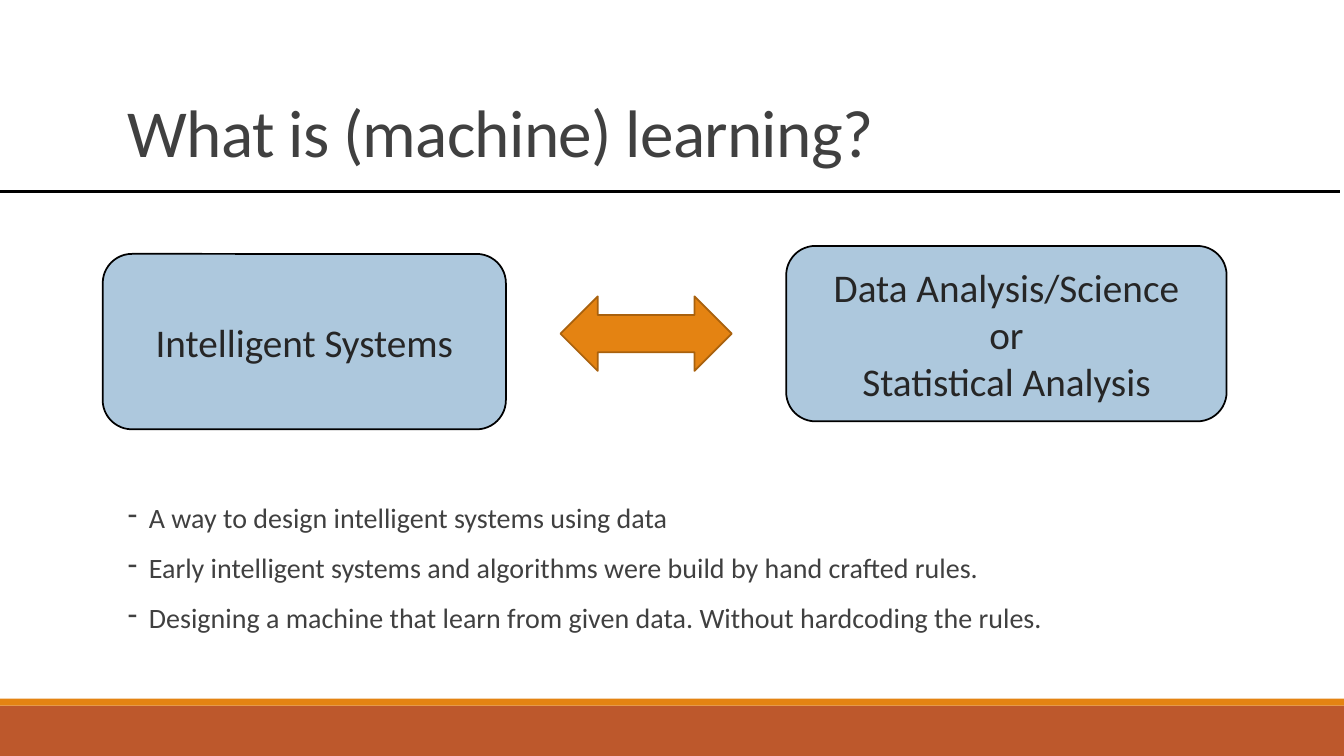
import pptx
import pptx.dml.color
import pptx.enum.shapes
import pptx.enum.text
import pptx.oxml.ns
import pptx.util
from lxml import etree

Pt = pptx.util.Pt
SHAPE = pptx.enum.shapes.MSO_SHAPE
ANCHOR = pptx.enum.text.MSO_ANCHOR
qn = pptx.oxml.ns.qn


def color(hex_string):
    return pptx.dml.color.RGBColor.from_string(hex_string)


def add_filled_shape(kind, left, top, width, height, fill, line=None):
    shape = slide.shapes.add_shape(kind, Pt(left), Pt(top), Pt(width), Pt(height))
    shape.shadow.inherit = False
    shape.fill.solid()
    shape.fill.fore_color.rgb = color(fill)
    if line:
        shape.line.color.rgb = color(line)
        shape.line.width = Pt(1.25)
    else:
        shape.line.fill.background()
    return shape


presentation = pptx.Presentation()
presentation.slide_width = Pt(960)
presentation.slide_height = Pt(540)
slide = presentation.slides.add_slide(presentation.slide_layouts[6])

# Footer bands
add_filled_shape(SHAPE.RECTANGLE, 0, 504, 960, 36, "BD582C")
add_filled_shape(SHAPE.RECTANGLE, 0, 499, 960, 5, "E48312")

# Rule under the title
rule = slide.shapes.add_connector(
    pptx.enum.shapes.MSO_CONNECTOR.STRAIGHT, Pt(0), Pt(136.6), Pt(957), Pt(136.6))
rule.line.color.rgb = color("000000")
rule.line.width = Pt(2.25)
etree.SubElement(rule._element.spPr, qn("a:effectLst"))

# Title
title = slide.shapes.add_textbox(Pt(84.2), Pt(11.5), Pt(792), Pt(114.5))
title.text_frame.word_wrap = True
title.text_frame.vertical_anchor = ANCHOR.BOTTOM
title.text_frame.text = "What is (machine) learning?"
paragraph = title.text_frame.paragraphs[0]
paragraph.line_spacing = 0.85
run = paragraph.runs[0]
run.font.name = "Calibri"
run.font.size = Pt(48)
run.font.color.rgb = color("404040")
run._r.get_or_add_rPr().set("spc", "-50")

# Dashed list
points = [
    "A way to design intelligent systems using data",
    "Early intelligent systems and algorithms were build by hand crafted rules.",
    "Designing a machine that learn from given data. Without hardcoding the rules.",
]
body = slide.shapes.add_textbox(Pt(84.2), Pt(357), Pt(792), Pt(111))
body.text_frame.word_wrap = True
body.text_frame.margin_left = body.text_frame.margin_right = 0
body.text_frame.text = "\n".join(points)
for index, paragraph in enumerate(body.text_frame.paragraphs):
    properties = paragraph._p.get_or_add_pPr()
    properties.set("marL", str(Pt(22.2)))
    properties.set("indent", str(-Pt(15)))
    etree.SubElement(properties, qn("a:buChar")).set("char", "-")
    paragraph.line_spacing = 0.9
    paragraph.space_before = Pt(12 if index else 0)
    paragraph.space_after = Pt(2)
    paragraph.font.size = Pt(20)
    for run in paragraph.runs:
        run.font.name = "Calibri"
        run.font.size = Pt(20)
        run.font.color.rgb = color("404040")

# Two fields
fields = [
    ("Intelligent Systems", 73.4, 181.4, 288),
    ("Data Analysis/Science\nor\nStatistical Analysis", 561.6, 175.7, 314.6),
]
for label, left, top, width in fields:
    field = add_filled_shape(
        SHAPE.ROUNDED_RECTANGLE, left, top, width, 125.3, "ADC8DD", "000000")
    field.text_frame.word_wrap = True
    field.text_frame.vertical_anchor = ANCHOR.MIDDLE
    field.text_frame.text = label
    for paragraph in field.text_frame.paragraphs:
        paragraph.alignment = pptx.enum.text.PP_ALIGN.CENTER
        for run in paragraph.runs:
            run.font.name = "Calibri"
            run.font.size = Pt(28)
            run.font.color.rgb = color("262626")

# Arrow between the fields
add_filled_shape(SHAPE.LEFT_RIGHT_ARROW, 400.3, 211.7, 122.4, 53.3, "E48312", "A9610D")

presentation.save("out.pptx")
